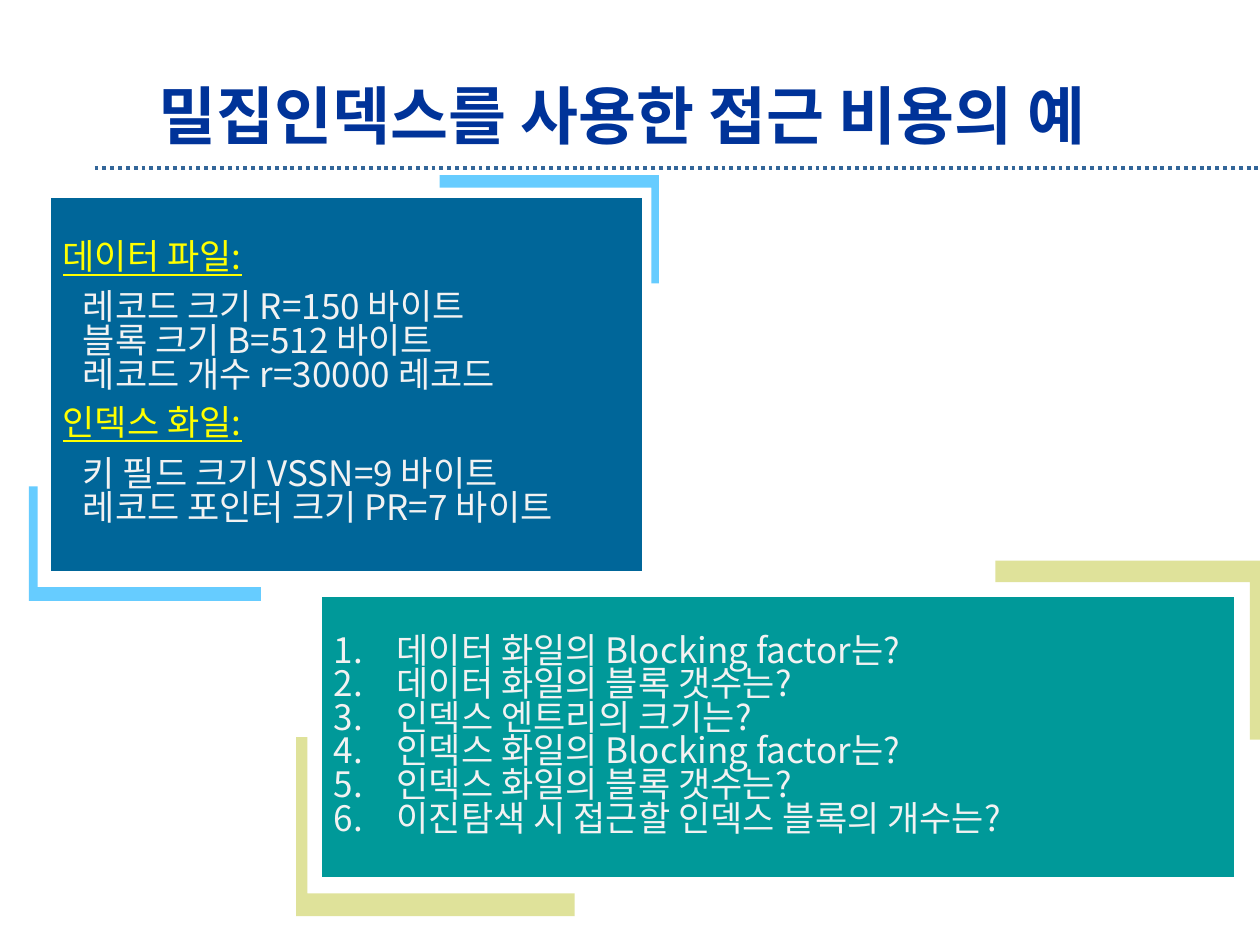
from dataclasses import dataclass

from lxml import etree
from pptx import Presentation
from pptx import util as u
from pptx.dml.color import RGBColor
from pptx.enum import dml, shapes, text
from pptx.oxml.ns import qn


@dataclass(frozen=True)
class Theme:
    font: str = "Noto Sans CJK KR"
    title: str = "003399"
    rule: str = "336699"
    heading: str = "FFFF00"
    body: str = "F2F2F2"
    border: str = "FFFFFF"
    title_size: float = 36
    body_size: float = 20
    line_spacing: float = 0.8


@dataclass(frozen=True)
class Bracket:
    """L-shaped corner; the signs of the arms give its direction."""
    x: float
    y: float
    arm_x: float
    arm_y: float
    thick_x: float
    thick_y: float


@dataclass(frozen=True)
class Line:
    words: str
    heading: bool = False
    numbered: bool = False
    before: float = 0


@dataclass(frozen=True)
class Panel:
    left: float
    top: float
    width: float
    height: float
    fill: str
    bracket_fill: str
    brackets: tuple[Bracket, ...]
    lines: tuple[Line, ...]


THEME = Theme()

DATA = Panel(
    0.4, 1.57, 4.7, 2.97, "006699", "66CCFF",
    (Bracket(0.23, 4.77, 1.84, -0.91, 0.07, -0.11),
     Bracket(5.23, 1.39, -1.74, 0.86, -0.06, 0.1)),
    (Line("데이터 파일:", heading=True),
     Line("레코드 크기 R=150 바이트", before=9.5),
     Line("블록 크기 B=512 바이트"),
     Line("레코드 개수 r=30000 레코드"),
     Line("인덱스 화일:", heading=True, before=8.5),
     Line("키 필드 크기 VSSN=9 바이트", before=10),
     Line("레코드 포인터 크기 PR=7 바이트")),
)

QUESTIONS = Panel(
    2.55, 4.73, 7.25, 2.24, "009999", "DFE29A",
    (Bracket(2.35, 7.27, 2.21, -1.42, 0.09, -0.18),
     Bracket(10, 4.45, -2.1, 1.42, -0.08, 0.17)),
    tuple(Line(words, numbered=True) for words in (
        "데이터 화일의 Blocking factor는?",
        "데이터 화일의 블록 갯수는?",
        "인덱스 엔트리의 크기는?",
        "인덱스 화일의 Blocking factor는?",
        "인덱스 화일의 블록 갯수는?",
        "이진탐색 시 접근할 인덱스 블록의 개수는?")),
)


def add_span(para, words: str, size: float, color: str,
             bold: bool = False, underline: bool = False) -> None:
    span = para.add_run()
    span.text = words
    font = span.font
    font.size, font.bold, font.underline = u.Pt(size), bold, underline
    font.color.rgb = RGBColor.from_string(color)
    font.name = THEME.font
    # Hangul takes its typeface from the East Asian font
    east_asian = etree.SubElement(span._r.get_or_add_rPr(), qn("a:ea"))
    east_asian.set("typeface", THEME.font)


def set_indent(para, left: float, first: float = 0) -> None:
    properties = para._p.get_or_add_pPr()
    properties.set("marL", str(u.Inches(left)))
    properties.set("indent", str(u.Inches(first)))


def add_line(para, line: Line) -> None:
    para.alignment = text.PP_ALIGN.LEFT
    para.line_spacing = THEME.line_spacing
    if line.before:
        para.space_before = u.Pt(line.before)
    if line.numbered:
        set_indent(para, 0.5, -0.5)
        number = etree.SubElement(para._p.get_or_add_pPr(), qn("a:buAutoNum"))
        number.set("type", "arabicPeriod")
    elif not line.heading:
        set_indent(para, 0.16)
    color = THEME.heading if line.heading else THEME.body
    add_span(para, line.words, THEME.body_size, color, underline=line.heading)


def add_bracket(group, bracket: Bracket, fill: str) -> None:
    x, y = bracket.x, bracket.y
    end_x, end_y = x + bracket.arm_x, y + bracket.arm_y
    inner_x, inner_y = x + bracket.thick_x, y + bracket.thick_y
    outline = [(x, end_y), (x, y), (end_x, y), (end_x, inner_y),
               (inner_x, inner_y), (inner_x, end_y)]
    points = [(u.Inches(px), u.Inches(py)) for px, py in outline]
    builder = group.shapes.build_freeform(*points[0])
    builder.add_line_segments(points[1:], close=True)
    corner = builder.convert_to_shape()
    corner.shadow.inherit = False
    corner.fill.solid()
    corner.fill.fore_color.rgb = RGBColor.from_string(fill)
    corner.line.fill.background()


def add_panel(slide, panel: Panel) -> None:
    group = slide.shapes.add_group_shape()
    for bracket in panel.brackets:
        add_bracket(group, bracket, panel.bracket_fill)
    box = group.shapes.add_shape(
        shapes.MSO_SHAPE.RECTANGLE, u.Inches(panel.left), u.Inches(panel.top),
        u.Inches(panel.width), u.Inches(panel.height))
    box.shadow.inherit = False
    box.fill.solid()
    box.fill.fore_color.rgb = RGBColor.from_string(panel.fill)
    box.line.color.rgb = RGBColor.from_string(THEME.border)
    box.line.width = u.Pt(0.75)
    frame = box.text_frame
    frame.word_wrap = True
    frame.vertical_anchor = text.MSO_ANCHOR.MIDDLE
    for index, line in enumerate(panel.lines):
        add_line(frame.add_paragraph() if index else frame.paragraphs[0], line)


def add_title(slide, words: str) -> None:
    title = slide.shapes.title
    title.left, title.top = u.Inches(0.31), u.Inches(0.62)
    title.width, title.height = u.Inches(9.25), u.Inches(0.58)
    frame = title.text_frame
    frame.auto_size = text.MSO_AUTO_SIZE.NONE
    frame.vertical_anchor = text.MSO_ANCHOR.MIDDLE
    para = frame.paragraphs[0]
    para.alignment = text.PP_ALIGN.CENTER
    add_span(para, words, THEME.title_size, THEME.title, bold=True)


def add_rule(slide) -> None:
    rule = slide.shapes.add_connector(
        shapes.MSO_CONNECTOR.STRAIGHT,
        u.Inches(0.75), u.Inches(1.33), u.Inches(10), u.Inches(1.33))
    rule.line.color.rgb = RGBColor.from_string(THEME.rule)
    rule.line.width = u.Pt(2.25)
    rule.line.dash_style = dml.MSO_LINE.ROUND_DOT
    etree.SubElement(rule._element.spPr, qn("a:effectLst"))


def main() -> None:
    deck = Presentation()
    deck.slide_width, deck.slide_height = u.Inches(10), u.Inches(7.5)
    page = deck.slides.add_slide(deck.slide_layouts[5])

    # Heading and dotted rule
    add_title(page, "밀집인덱스를 사용한 접근 비용의 예")
    add_rule(page)

    # File facts, then the questions about them
    for panel in (DATA, QUESTIONS):
        add_panel(page, panel)

    deck.save("out.pptx")


if __name__ == "__main__":
    main()
